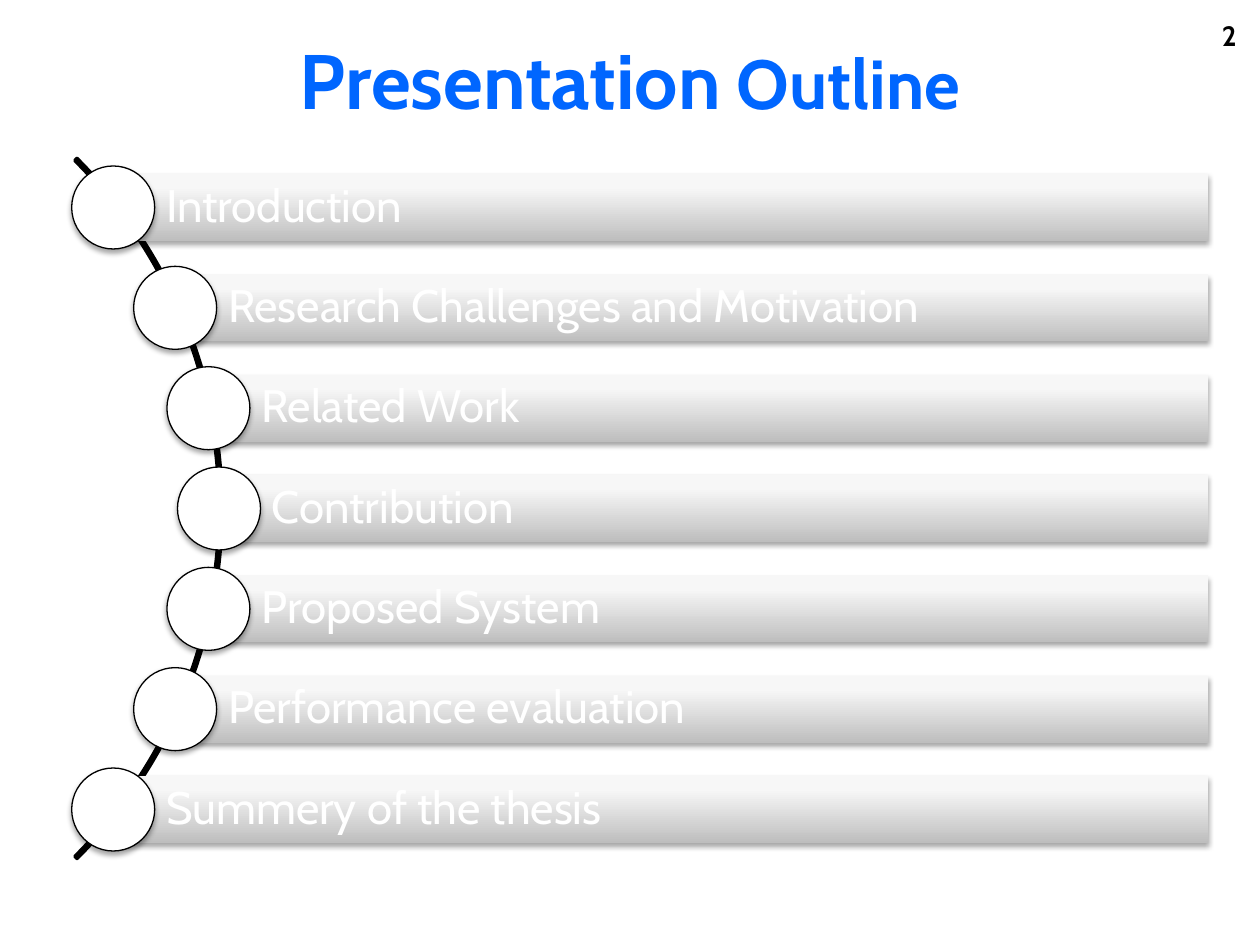
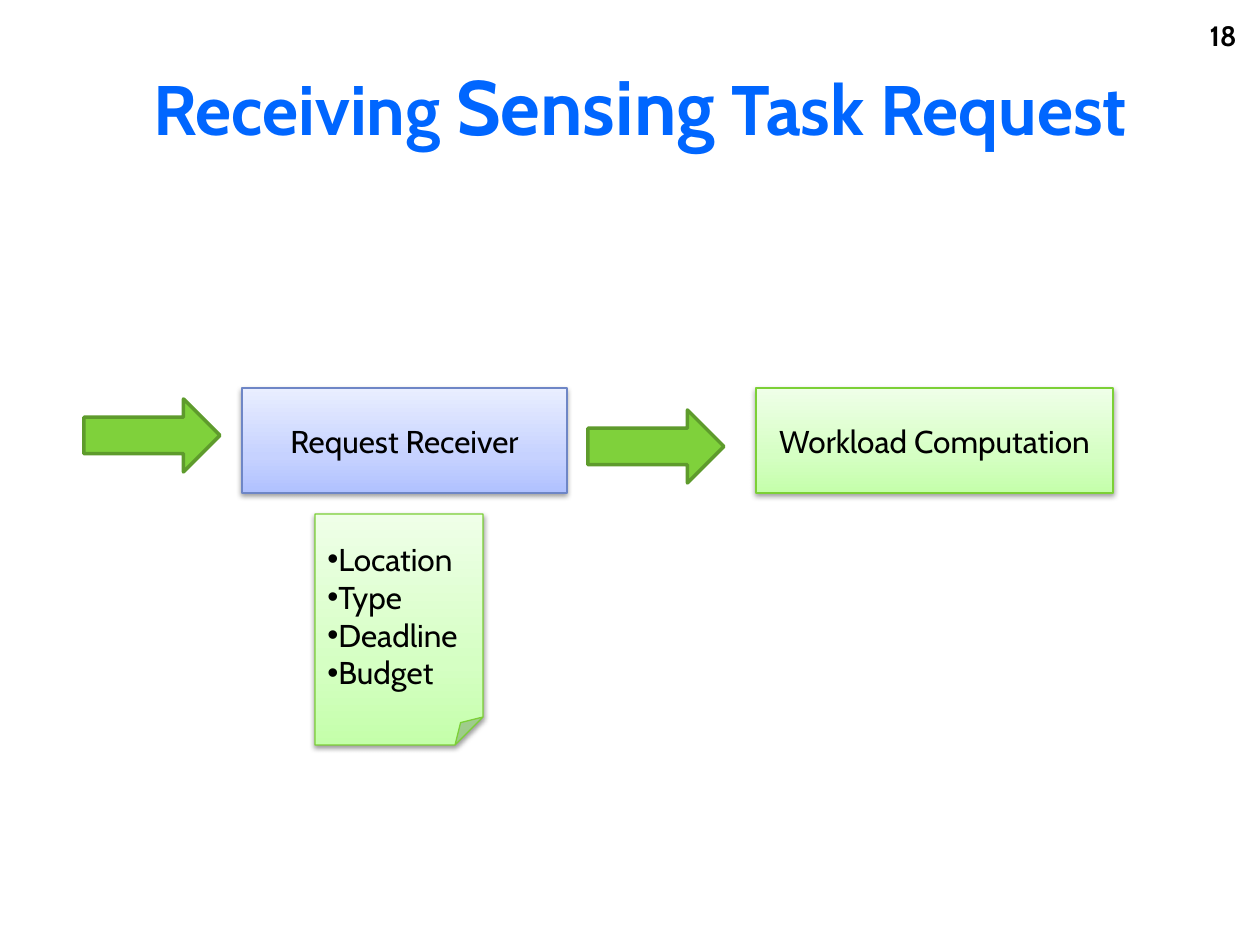
from collections import namedtuple
from dataclasses import dataclass
from math import sqrt

from lxml.etree import SubElement
from pptx import Presentation
from pptx.dml.color import RGBColor
from pptx.enum.shapes import MSO_SHAPE as Preset
from pptx.enum.text import MSO_ANCHOR as Anchor, PP_ALIGN as Align
from pptx.oxml.ns import qn
from pptx.util import Pt

EMU_PER_PX = 914400 / 126
Box = namedtuple("Box", "left top width height")
# Gradient stops run from the bottom edge upwards.
Tint = namedtuple("Tint", "stops line")


@dataclass(frozen=True)
class Theme:
    font: str = "Cabin"
    title: str = "0066FF"
    ink: str = "000000"
    paper: str = "FFFFFF"
    arrow: str = "7FD13B"
    arrow_line: str = "5E9B2C"
    silver: Tint = Tint(((0, "BEBEBE"), (80, "F7F7F7"), (100, "F8F8F8")), None)
    blue: Tint = Tint(((0, "B0C1FF"), (35, "C6D2FF"), (100, "E9EEFF")), "6E86C6")
    green: Tint = Tint(((0, "C4FFAA"), (35, "D5FFC3"), (100, "EFFFE8")), "7CD036")
    outline_size: int = 26
    flow_size: int = 18
    number_size: int = 16
    thin_line: float = 0.75
    thick_line: float = 2


THEME = Theme()


def px(length):
    return round(length * EMU_PER_PX)


def rgb(color):
    return RGBColor.from_string(color)


def style_paragraph(paragraph, size, color, align=Align.LEFT, bold=False):
    paragraph.alignment = align
    font = paragraph.font
    font.name, font.size, font.bold = THEME.font, Pt(size), bold
    font.color.rgb = rgb(color)


def add_preset(slide, preset, box, fill=None, line=None, line_width=THEME.thin_line):
    shape = slide.shapes.add_shape(preset, *map(px, box))
    shape.shadow.inherit = False
    if fill:
        shape.fill.solid()
        shape.fill.fore_color.rgb = rgb(fill)
    else:
        shape.fill.background()
    if line:
        shape.line.color.rgb = rgb(line)
        shape.line.width = Pt(line_width)
    else:
        shape.line.fill.background()
    return shape


def add_shadow(shape, opacity, distance):
    effects = shape.element.spPr.find(qn("a:effectLst"))
    shadow = SubElement(effects, qn("a:outerShdw"), blurRad=str(Pt(3.1)),
                        dist=str(Pt(distance)), dir="5400000", rotWithShape="0")
    color = SubElement(shadow, qn("a:srgbClr"), val=THEME.ink)
    SubElement(color, qn("a:alpha"), val=str(opacity * 1000))


def add_tinted(slide, preset, box, tint, opacity=38, distance=1.6):
    """Add a shape with a vertical gradient and a soft shadow below it."""
    shape = add_preset(slide, preset, box, line=tint.line)
    shape.fill.gradient()
    shape.fill.gradient_angle = 90
    stops = shape.element.spPr.find(".//" + qn("a:gsLst"))
    for stop in list(stops):
        stops.remove(stop)
    for position, color in tint.stops:
        stop = SubElement(stops, qn("a:gs"), pos=str(position * 1000))
        SubElement(stop, qn("a:srgbClr"), val=color)
    add_shadow(shape, opacity, distance)
    return shape


def write_lines(shape, lines, size, color, align=Align.LEFT, bullet=None):
    frame = shape.text_frame
    frame.word_wrap = True
    frame.vertical_anchor = Anchor.MIDDLE
    frame.text = "\n".join(lines)
    for paragraph in frame.paragraphs:
        style_paragraph(paragraph, size, color, align)
        if bullet:
            properties = paragraph._p.get_or_add_pPr()
            SubElement(properties, qn("a:buFont"), typeface="Arial")
            SubElement(properties, qn("a:buChar"), char=bullet)
    return frame


def add_heading(slide, box, parts, bold=True):
    """Add a centred title whose (text, size) parts differ in size."""
    frame = slide.shapes.add_textbox(*map(px, box)).text_frame
    frame.word_wrap = True
    frame.vertical_anchor = Anchor.MIDDLE
    paragraph = frame.paragraphs[0]
    style_paragraph(paragraph, parts[0][1], THEME.title, Align.CENTER, bold)
    for text, size in parts:
        run = paragraph.add_run()
        run.text = text
        run.font.size = Pt(size)


def add_slide_number(slide, number):
    number_box = slide.shapes.add_textbox(*map(px, Box(1176, 10, 73, 50)))
    frame = write_lines(number_box, [str(number)], THEME.number_size,
                        THEME.ink, Align.RIGHT)
    frame.paragraphs[0].font.bold = True


def add_curved_list(slide, box, topics):
    """Stack bars whose round markers follow a circular arc."""
    dot, bar_height = 83, 67
    arc_radius, bend_radius, apex = 495, 481, box.left + 146
    middle = box.top + box.height / 2
    pitch = (box.height - dot) / (len(topics) - 1)

    arc_box = Box(apex + 3 - 2 * arc_radius, middle - arc_radius,
                  2 * arc_radius, 2 * arc_radius)
    arc = add_preset(slide, Preset.BLOCK_ARC, arc_box, line=THEME.ink,
                     line_width=THEME.thick_line)
    for index, value in enumerate((189, 27, 0.003)):
        arc.adjustments[index] = value

    for row, topic in enumerate(topics):
        center_y = box.top + dot / 2 + row * pitch
        offset = center_y - middle
        center_x = apex - bend_radius + sqrt(bend_radius ** 2 - offset ** 2)
        bar_box = Box(center_x, center_y - bar_height / 2,
                      box.left + box.width - center_x, bar_height)
        bar = add_tinted(slide, Preset.RECTANGLE, bar_box, THEME.silver, 35, 1.8)
        frame = write_lines(bar, [topic], THEME.outline_size, THEME.paper)
        frame.margin_left = px(53)
        frame.margin_top = frame.margin_right = frame.margin_bottom = px(9)
        frame.paragraphs[0].line_spacing = 0.9
        marker_box = Box(center_x - dot / 2, center_y - dot / 2, dot, dot)
        marker = add_preset(slide, Preset.OVAL, marker_box, THEME.paper, THEME.ink)
        add_shadow(marker, 35, 1.8)


def add_request_flow(slide, box):
    """Lay out the arrows, the two steps and the note of request fields."""
    def inside(left, top, width, height):
        return Box(box.left + left, box.top + top, width, height)

    for left, top in ((0, 11), (504, 22)):
        add_preset(slide, Preset.RIGHT_ARROW, inside(left, top, 136, 73),
                   THEME.arrow, THEME.arrow_line, THEME.thick_line)

    note = add_tinted(slide, Preset.FOLDED_CORNER, inside(231, 126, 168, 231),
                      THEME.green)
    write_lines(note, ["Location", "Type", "Deadline", "Budget"],
                THEME.flow_size, THEME.ink, bullet="•")

    steps = (("Request Receiver", 158, 325, THEME.blue),
             ("Workload Computation", 672, 357, THEME.green))
    for label, left, width, tint in steps:
        step = add_tinted(slide, Preset.RECTANGLE, inside(left, 0, width, 105), tint)
        write_lines(step, [label], THEME.flow_size, THEME.ink, Align.CENTER)


def add_numbered_slide(presentation, number, title_box, title_parts):
    slide = presentation.slides.add_slide(presentation.slide_layouts[6])
    slide.background.fill.solid()
    slide.background.fill.fore_color.rgb = rgb(THEME.paper)
    add_heading(slide, title_box, title_parts)
    add_slide_number(slide, number)
    return slide


def main():
    presentation = Presentation()
    presentation.slide_width, presentation.slide_height = px(1260), px(945)

    outline = add_numbered_slide(presentation, 2, Box(63, 32, 1134, 94),
                                 [("Presentation", 44.1), (" Outline", 39.6)])
    add_curved_list(outline, Box(73, 166, 1135, 685), [
        "Introduction",
        "Research Challenges and Motivation",
        "Related Work",
        "Contribution",
        "Proposed System",
        "Performance evaluation",
        "Summery of the thesis",
    ])

    request = add_numbered_slide(
        presentation, 18, Box(73, 42, 1134, 126),
        [("Receiving ", 40), ("Sensing", 44), (" Task Request", 40)])
    add_request_flow(request, Box(84, 388, 1029, 357))

    presentation.save("out.pptx")


if __name__ == "__main__":
    main()
